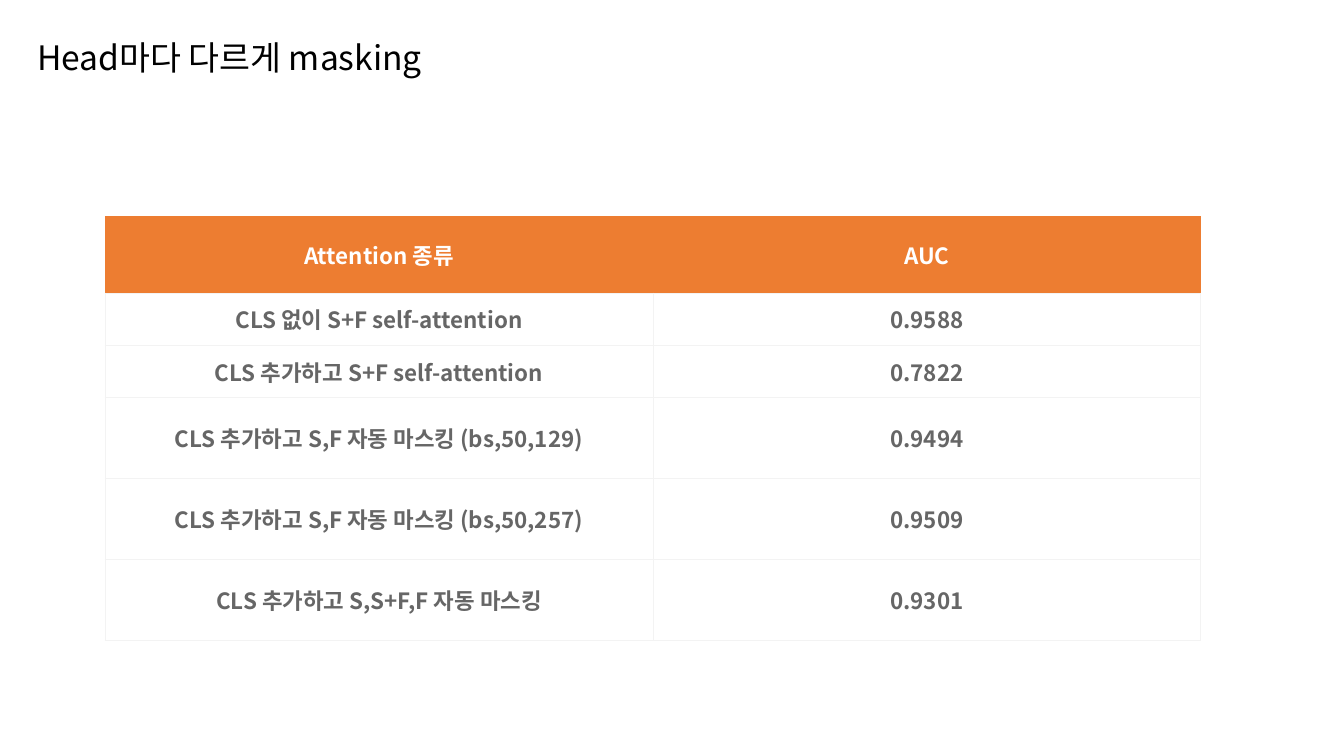
from dataclasses import dataclass

from lxml.etree import SubElement
from pptx import Presentation
from pptx.dml.color import RGBColor as Rgb
from pptx.enum.text import MSO_ANCHOR as Anchor, PP_ALIGN as Align
from pptx.oxml.ns import qn
from pptx.util import Emu, Pt

EMU_PER_PIXEL = 914400 / 100.8


@dataclass(frozen=True)
class Theme:
    font: str = "Noto Sans CJK KR"
    title_size: int = 24
    table_size: int = 16
    title_ink: str = "000000"
    header_ink: str = "FFFFFF"
    header_fill: str = "ED7D31"
    body_ink: str = "666666"
    body_fill: str = "FFFFFF"
    grid: str = "F3F3F3"
    grid_width: float = 0.75


THEME = Theme()

RESULTS = [
    ("Attention 종류", "AUC"),
    ("CLS 없이 S+F self-attention", "0.9588"),
    ("CLS 추가하고 S+F self-attention", "0.7822"),
    ("CLS 추가하고 S,F 자동 마스킹 (bs,50,129)", "0.9494"),
    ("CLS 추가하고 S,F 자동 마스킹 (bs,50,257)", "0.9509"),
    ("CLS 추가하고 S,S+F,F 자동 마스킹", "0.9301"),
]
ROW_HEIGHTS = [77, 52, 52, 81, 81, 81]
CELL_INSET = 10


def px(pixels):
    return Emu(round(pixels * EMU_PER_PIXEL))


def format_text(frame, size, ink, bold, align):
    for paragraph in frame.paragraphs:
        paragraph.alignment = align
        for run in paragraph.runs:
            font = run.font
            font.name = THEME.font
            font.size = Pt(size)
            font.bold = bold
            font.color.rgb = Rgb.from_string(ink)
            east_asian = SubElement(font._element, qn("a:ea"))
            east_asian.set("typeface", THEME.font)


def set_borders(cell, sides):
    properties = cell._tc.get_or_add_tcPr()
    for position, side in enumerate(("L", "R", "T", "B")):
        line = properties.makeelement(qn(f"a:ln{side}"), {})
        properties.insert(position, line)
        if side in sides:
            line.set("w", str(Pt(THEME.grid_width)))
            color = SubElement(SubElement(line, qn("a:solidFill")), qn("a:srgbClr"))
            color.set("val", THEME.grid)
        else:
            line.set("w", "0")
            SubElement(line, qn("a:noFill"))


def add_heading(slide, box, wording):
    heading = slide.shapes.title
    heading.left, heading.top, heading.width, heading.height = map(px, box)
    frame = heading.text_frame
    frame.text = wording
    frame.word_wrap = True
    frame.vertical_anchor = Anchor.MIDDLE
    frame.paragraphs[0].line_spacing = 0.9
    format_text(frame, THEME.title_size, THEME.title_ink, False, Align.LEFT)


def fill_cell(cell, wording, is_header):
    cell.text = wording
    cell.vertical_anchor = Anchor.MIDDLE
    cell.margin_left = cell.margin_right = px(CELL_INSET)
    cell.margin_top = cell.margin_bottom = px(CELL_INSET)
    fill = THEME.header_fill if is_header else THEME.body_fill
    cell.fill.solid()
    cell.fill.fore_color.rgb = Rgb.from_string(fill)
    ink = THEME.header_ink if is_header else THEME.body_ink
    format_text(cell.text_frame, THEME.table_size, ink, True, Align.CENTER)
    set_borders(cell, "B" if is_header else "LRTB")


def add_results(slide, box, results, row_heights):
    frame = slide.shapes.add_table(len(results), len(results[0]), *map(px, box))
    table = frame.table
    table.horz_banding = False
    for column in table.columns:
        column.width = px(box[2] // len(results[0]))
    for index, (row, height, wordings) in enumerate(zip(table.rows, row_heights, results)):
        row.height = px(height)
        for cell, wording in zip(row.cells, wordings):
            fill_cell(cell, wording, index == 0)


def main():
    deck = Presentation()
    deck.slide_width, deck.slide_height = px(1344), px(756)
    slide = deck.slides.add_slide(deck.slide_layouts[5])
    add_heading(slide, (27, -13, 1159, 146), "Head마다 다르게 masking")
    add_results(slide, (105, 216, 1096, sum(ROW_HEIGHTS)), RESULTS, ROW_HEIGHTS)
    deck.save("out.pptx")


main()
